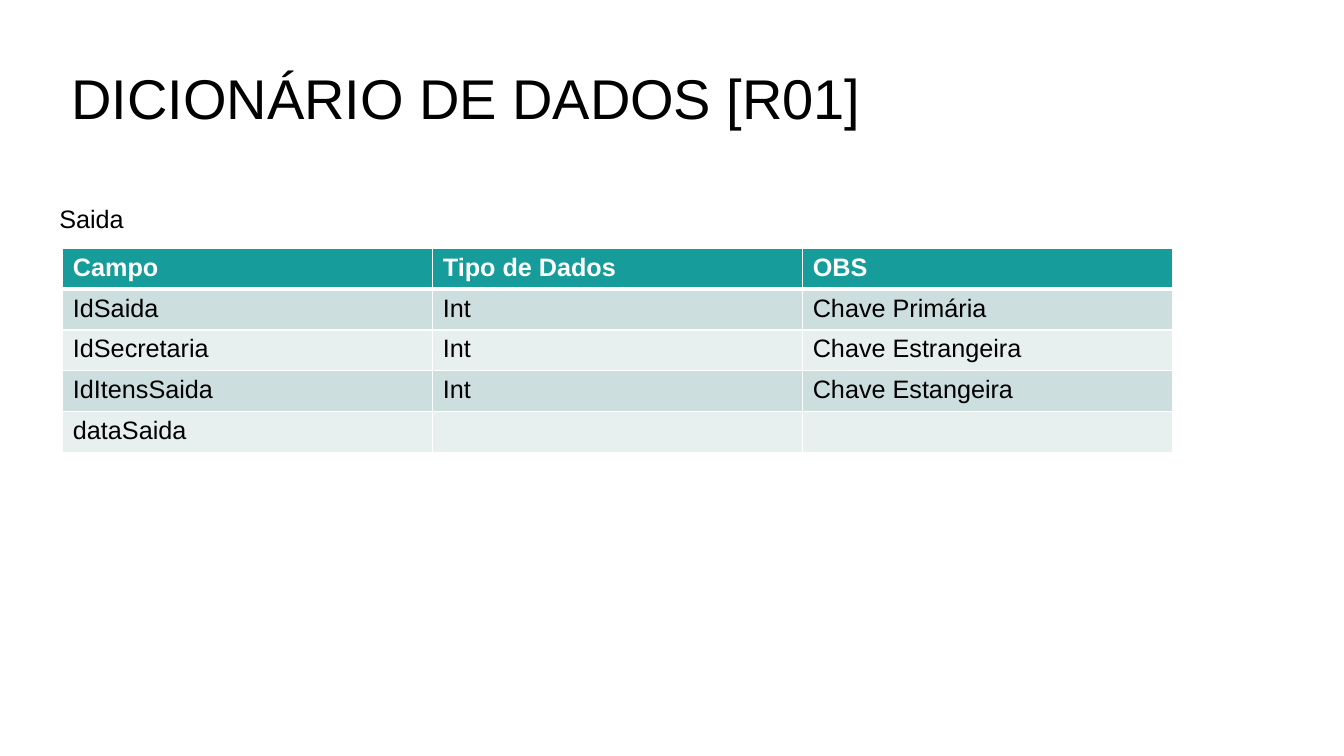
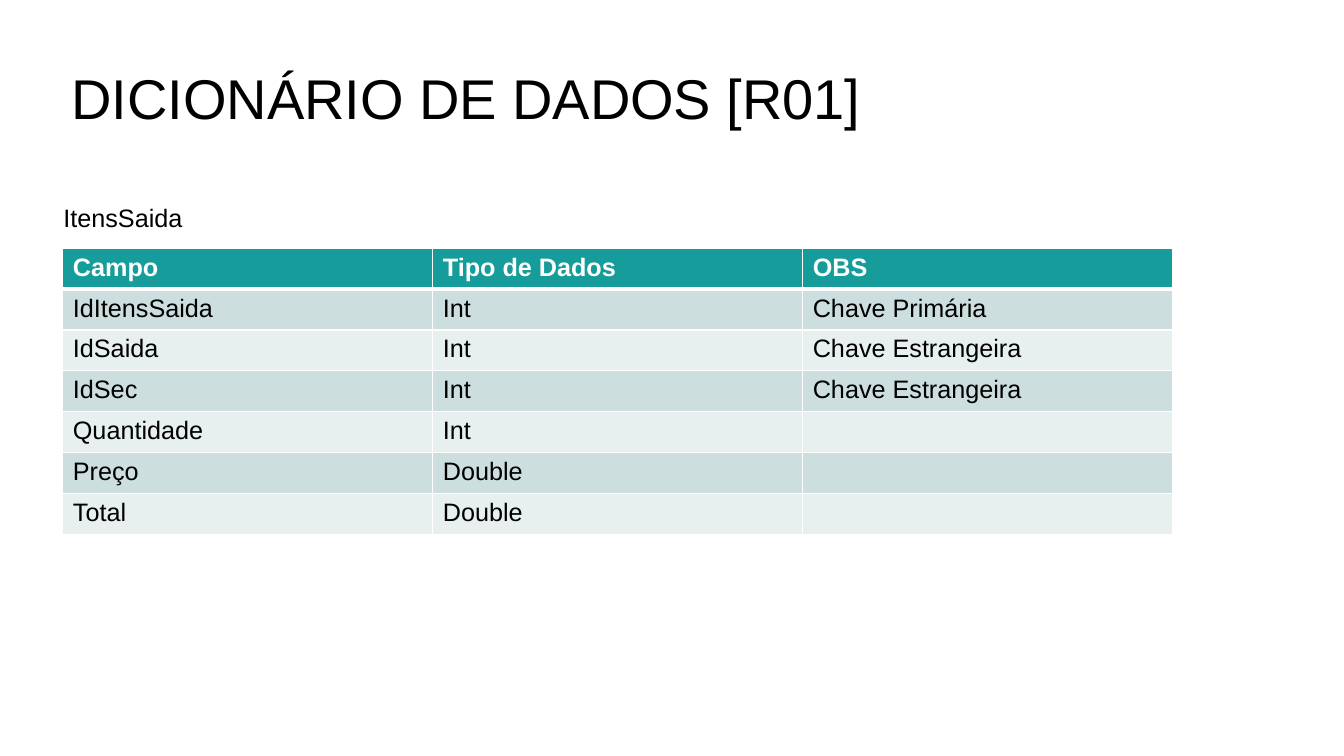
"""Build two data dictionary slides, each with a titled table of fields."""
from lxml import etree
from pptx import Presentation
from pptx.dml.color import RGBColor
from pptx.enum.text import MSO_AUTO_SIZE
from pptx.oxml.ns import qn
from pptx.util import Pt

FIT_SHAPE = MSO_AUTO_SIZE.SHAPE_TO_FIT_TEXT
FONT = "Arial"
BLACK, WHITE = "000000", "FFFFFF"
HEADER_FILL = "169C9A"
BAND_FILLS = ["E8EFEF", "CCDEDE"]
TITLE = "DICIONÁRIO DE DADOS [R01]"
HEADINGS = ("Campo", "Tipo de Dados", "OBS")
COLUMN_WIDTH, ROW_HEIGHT = 264.25, 29.2
BODY_SIZE = 18

ENTITIES = [
    ("Saida", (35.3, 141.8, 61.2, 28.8), [
        ("IdSaida", "Int", "Chave Primária"),
        ("IdSecretaria", "Int", "Chave Estrangeira"),
        ("IdItensSaida", "Int", "Chave Estangeira"),
        ("dataSaida", "", ""),
    ]),
    ("ItensSaida", (38.2, 141.1, 100.1, 28.8), [
        ("IdItensSaida", "Int", "Chave Primária"),
        ("IdSaida", "Int", "Chave Estrangeira"),
        ("IdSec", "Int", "Chave Estrangeira"),
        ("Quantidade", "Int", ""),
        ("Preço", "Double", ""),
        ("Total", "Double", ""),
    ]),
]


def rgb(value):
    return RGBColor.from_string(value)


def write(frame, text, size, color=BLACK, bold=False):
    paragraph = frame.paragraphs[0]
    paragraph.text = text
    for font in [paragraph.font] + [run.font for run in paragraph.runs]:
        font.name, font.size, font.bold = FONT, Pt(size), bold
        font.color.rgb = rgb(color)


deck = Presentation()
deck.slide_width, deck.slide_height = Pt(960), Pt(540)

for entity, label_area, fields in ENTITIES:
    slide = deck.slides.add_slide(deck.slide_layouts[6])

    for text, area, size in [(TITLE, (43.9, 41.8, 584.6, 55.4), 40),
                             (entity, label_area, BODY_SIZE)]:
        frame = slide.shapes.add_textbox(*map(Pt, area)).text_frame
        frame.word_wrap = False
        frame.auto_size = FIT_SHAPE
        write(frame, text, size)

    rows = [HEADINGS] + fields
    dictionary = slide.shapes.add_table(
        len(rows), len(HEADINGS), Pt(44.9), Pt(177.3),
        Pt(COLUMN_WIDTH * len(HEADINGS)), Pt(ROW_HEIGHT * len(rows))).table
    dictionary.horz_banding = False
    for column in dictionary.columns:
        column.width = Pt(COLUMN_WIDTH)

    for row_index, values in enumerate(rows):
        dictionary.rows[row_index].height = Pt(ROW_HEIGHT)
        is_header = row_index == 0
        top_width = 3 if row_index == 1 else 1
        bottom_width = 3 if is_header else 1
        for column_index, value in enumerate(values):
            cell = dictionary.cell(row_index, column_index)
            write(cell.text_frame, value, BODY_SIZE,
                  WHITE if is_header else BLACK, is_header)
            cell.fill.solid()
            cell.fill.fore_color.rgb = rgb(
                HEADER_FILL if is_header else BAND_FILLS[row_index % 2])
            properties = cell._tc.get_or_add_tcPr()
            borders = [("L", 1), ("R", 1), ("T", top_width), ("B", bottom_width)]
            for position, (side, width) in enumerate(borders):
                border = etree.Element(qn(f"a:ln{side}"), w=str(Pt(width)))
                line_fill = etree.SubElement(border, qn("a:solidFill"))
                etree.SubElement(line_fill, qn("a:srgbClr"), val=WHITE)
                properties.insert(position, border)

deck.save("out.pptx")
